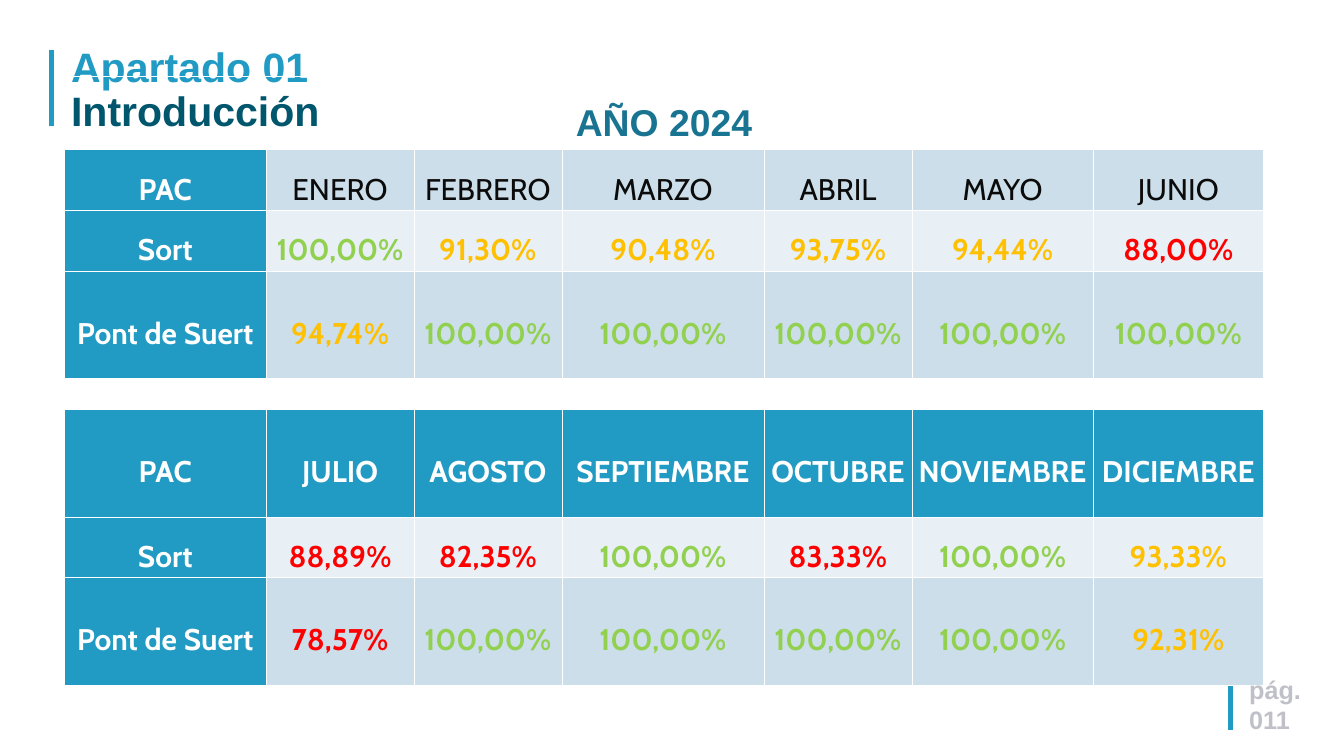
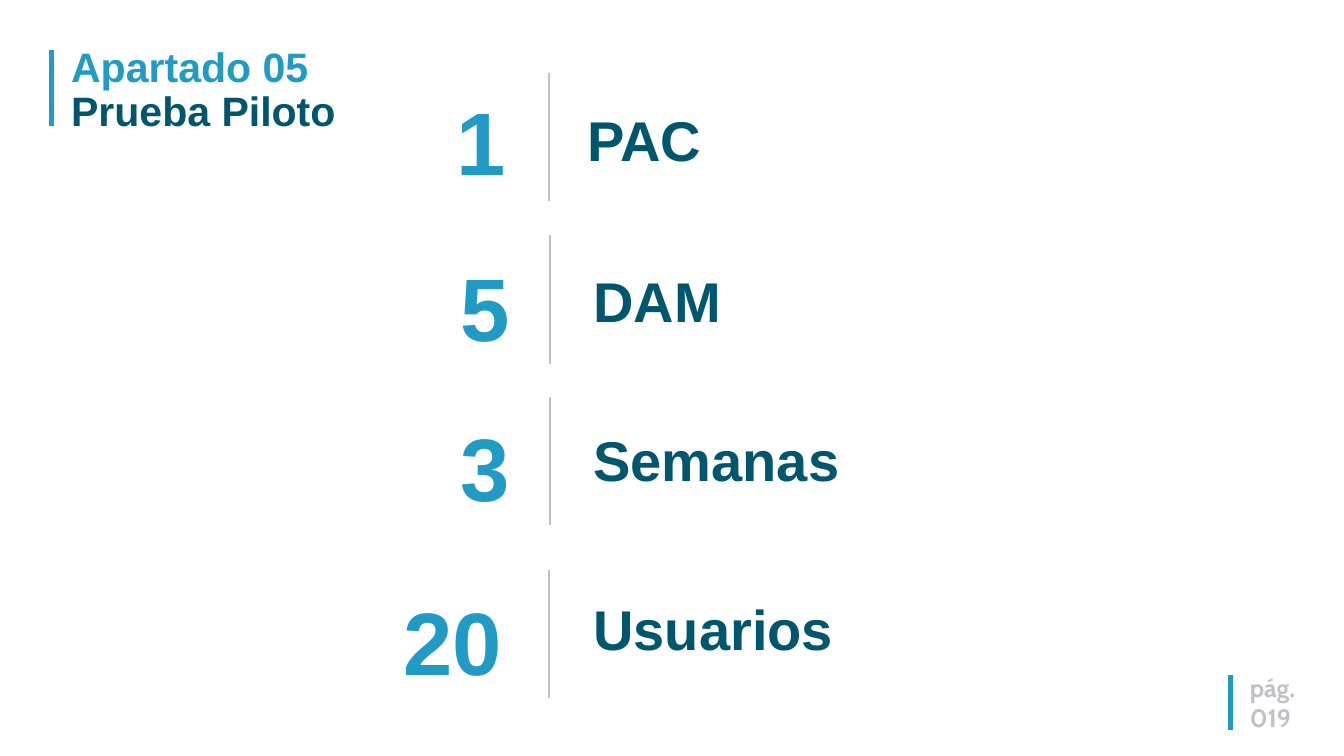
from lxml import etree
from pptx import Presentation
from pptx.dml.color import RGBColor
from pptx.enum import shapes, text
from pptx.oxml import ns
from pptx.util import Inches, Pt

# Shared look
BLUE, NAVY, TEAL, GREY, WHITE, BLACK = "219BC3", "00566C", "197492", "C0C0C8", "FFFFFF", "0C0B0B"
GREEN, AMBER, RED = "92D050", "FFC000", "FF0000"
PALE, PALER = "E8EFF5", "CCDEE9"
PALE, MIST = "E8EFF5", "CCDEE9"
LEFT, RIGHT, CENTER = text.PP_ALIGN.LEFT, text.PP_ALIGN.RIGHT, text.PP_ALIGN.CENTER

# Slide 1: monthly results per care point
YEAR = "AÑO 2024"
HALVES = [
    [("PAC", "ENERO", "FEBRERO", "MARZO", "ABRIL", "MAYO", "JUNIO"),
     ("Sort", 100, 91.30, 90.48, 93.75, 94.44, 88),
     ("Pont de Suert", 94.74, 100, 100, 100, 100, 100)],
    [("PAC", "JULIO", "AGOSTO", "SEPTIEMBRE", "OCTUBRE", "NOVIEMBRE", "DICIEMBRE"),
     ("Sort", 88.89, 82.35, 100, 83.33, 100, 93.33),
     ("Pont de Suert", 78.57, 100, 100, 100, 100, 92.31)],
]
HEADER_STYLES = [(MIST, BLACK, False), (BLUE, WHITE, True)]
COL_WIDTHS = [3, 2.2, 2.2, 3.01, 2.2, 2.7, 2.53]
ROW_HEIGHTS = [1.1, 0.8, 0.8, 1.6, 0.46, 1.6, 0.8, 1.6]

# Slide 2: number, its left and top; label, its left and top; divider x and top
PILOT = [
    ("1", 2.78, 1.13, "PAC", 8.69, 1.43, 8.17, 1.08),
    ("5", 2.83, 3.6, "DAM", 8.78, 3.82, 8.18, 3.5),
    ("3", 2.83, 5.98, "Semanas", 8.78, 6.19, 8.18, 5.91),
    ("20", 2.72, 8.58, "Usuarios", 8.78, 8.71, 8.17, 8.48),
]
DIVIDER_HEIGHT = 1.91


def rgb(value):
    return RGBColor.from_string(value)


def write(p, words, size, color, name="Arial", bold=True):
    r = p.add_run()
    r.text = words
    for key, value in {"size": Pt(size), "name": name, "bold": bold}.items():
        setattr(r.font, key, value)
    r.font.color.rgb = rgb(color)


def add_text(slide, box, lines, size, color, name="Arial", align=LEFT,
             insets=(0.1, 0.08, 0.1, 0.08)):
    tf = slide.shapes.add_textbox(*map(Inches, box)).text_frame
    tf.word_wrap = True
    for side, inset in zip(("left", "top", "right", "bottom"), insets):
        setattr(tf, "margin_" + side, Inches(inset))
    for i, line in enumerate(lines):
        p = tf.add_paragraph() if i else tf.paragraphs[0]
        p.alignment = align
        if line:
            write(p, line, size, color, name)
    return tf


def add_rule(slide, x, top, height, color, width):
    line = slide.shapes.add_connector(shapes.MSO_CONNECTOR.STRAIGHT, Inches(x), Inches(top),
                                      Inches(x), Inches(top + height))
    line.line.color.rgb = rgb(color)
    line.line.width = Pt(width)
    etree.SubElement(line._element.spPr, ns.qn("a:effectLst"))


def add_base(prs, section, title):
    slide = prs.slides.add_slide(prs.slide_layouts[6])
    add_rule(slide, 18.31, 10.05, 0.81, BLUE, 5)
    add_rule(slide, 0.77, 0.75, 1.13, BLUE, 5)
    p = add_text(slide, (0.96, 0.62, 5.96, 1.45), [""], 44, BLUE).paragraphs[0]
    p.line_spacing = 0.9
    write(p, section, 44, BLUE)
    p.add_line_break()
    write(p, title, 44, NAVY)
    return slide


def add_page_number(slide, number, box, name):
    add_text(slide, box, ["pág.", number], 27, GREY, name)


def set_borders(cell, widths):
    tcPr = cell._tc.get_or_add_tcPr()
    for i, (side, width) in enumerate(widths.items()):
        ln = etree.Element(ns.qn("a:" + side), w=str(Pt(width)))
        fill = etree.SubElement(ln, ns.qn("a:solidFill"))
        etree.SubElement(fill, ns.qn("a:srgbClr"), val=WHITE)
        tcPr.insert(i, ln)


def fill_cell(cell, words, color, fill=None, size=32, name="Cabin", bold=True):
    if fill:
        cell.fill.solid()
        cell.fill.fore_color.rgb = rgb(fill)
    cell.vertical_anchor = text.MSO_ANCHOR.MIDDLE
    cell.margin_left = cell.margin_right = Inches(0.07)
    p = cell.text_frame.paragraphs[0]
    p.alignment = CENTER
    p.line_spacing = 1.5
    write(p, words, size, color, name, bold)


def score_color(score):
    return GREEN if score >= 100 else AMBER if score >= 90 else RED


def add_results(slide):
    frame = slide.shapes.add_table(len(ROW_HEIGHTS), len(COL_WIDTHS), Inches(0.96), Inches(1.13),
                                   Inches(sum(COL_WIDTHS)), Inches(sum(ROW_HEIGHTS)))
    table = frame.table
    table.first_row = table.horz_banding = False
    for col, width in zip(table.columns, COL_WIDTHS):
        col.width = Inches(width)
    for i, (row, height) in enumerate(zip(table.rows, ROW_HEIGHTS)):
        row.height = Inches(height)
        for cell in row.cells:
            cell.fill.background()
            set_borders(cell, {"lnL": 0.45, "lnR": 0.45, "lnT": 1.47 if i == 1 else 0.45,
                               "lnB": 1.47 if i == 0 else 0.45})

    # Year across the top
    table.cell(0, 0).merge(table.cell(0, len(COL_WIDTHS) - 1))
    fill_cell(table.cell(0, 0), YEAR, TEAL, size=40, name="Arial")

    # One block per half year, with an empty row between them
    for half, (block, (fill, color, bold)) in enumerate(zip(HALVES, HEADER_STYLES)):
        for i, (label, *values) in enumerate(block):
            y = 1 + half * 4 + i
            fill_cell(table.cell(y, 0), label, WHITE, BLUE)
            for x, value in enumerate(values, 1):
                if i == 0:
                    fill_cell(table.cell(y, x), value, color, fill, bold=bold)
                else:
                    words = f"{value:.2f}%".replace(".", ",")
                    fill_cell(table.cell(y, x), words, score_color(value), PALE if i == 1 else MIST)


def main():
    prs = Presentation()
    prs.slide_width, prs.slide_height = Inches(20), Inches(11.25)

    # Results
    slide = add_base(prs, "Apartado 01", "Introducción")
    add_results(slide)
    add_page_number(slide, "011", (18.49, 9.95, 1.9, 1), "Arial")

    # Pilot test
    slide = add_base(prs, "Apartado 05", "Prueba Piloto")
    for number, nx, ny, label, lx, ly, x, top in PILOT:
        add_text(slide, (lx, ly, 10.58, 1.1), [label], 60, NAVY, insets=(0.05, 0.14, 0.05, 0))
        add_rule(slide, x, top, DIVIDER_HEIGHT, GREY, 2)
        add_text(slide, (nx, ny, 4.83, 1.68), [number], 95, BLUE, align=RIGHT,
                 insets=(0.08, 0.16, 0.08, 0))
    add_page_number(slide, "019", (18.5, 9.92, 1.9, 1.06), "Cabin")

    prs.save("out.pptx")


if __name__ == "__main__":
    main()
